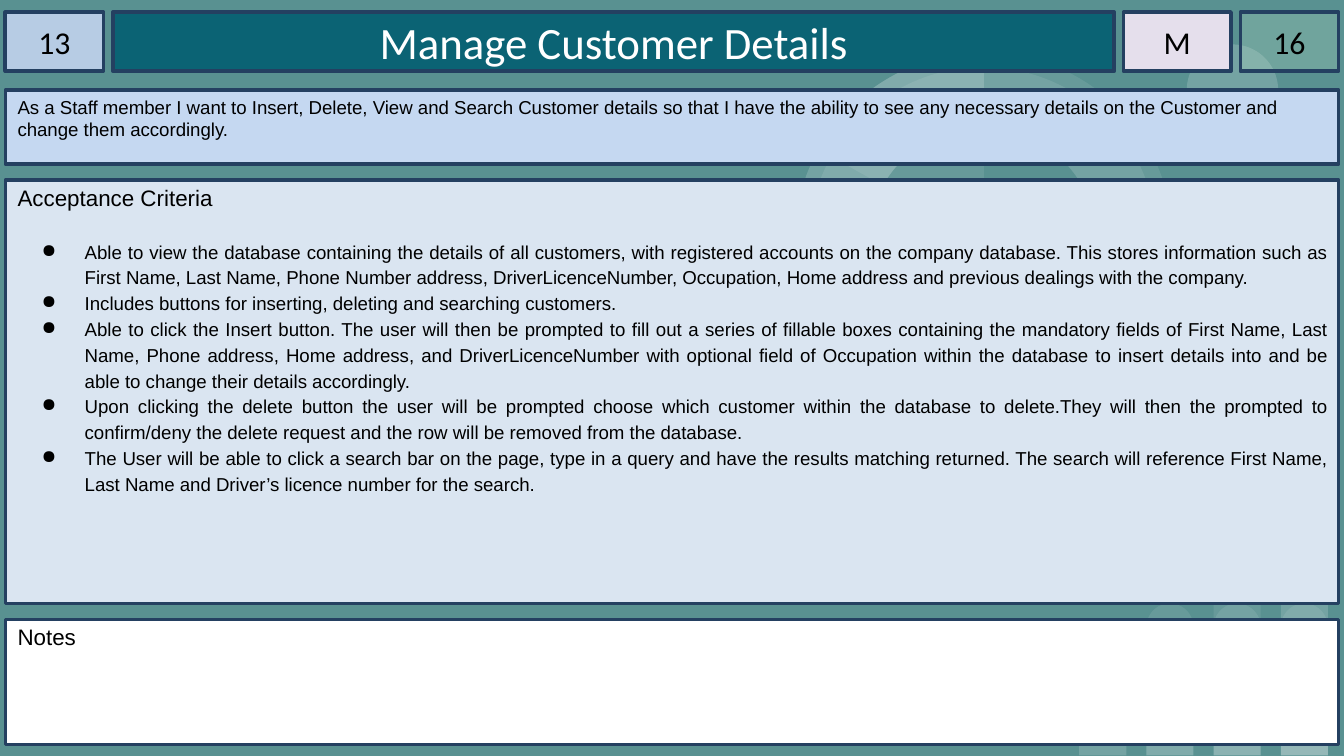
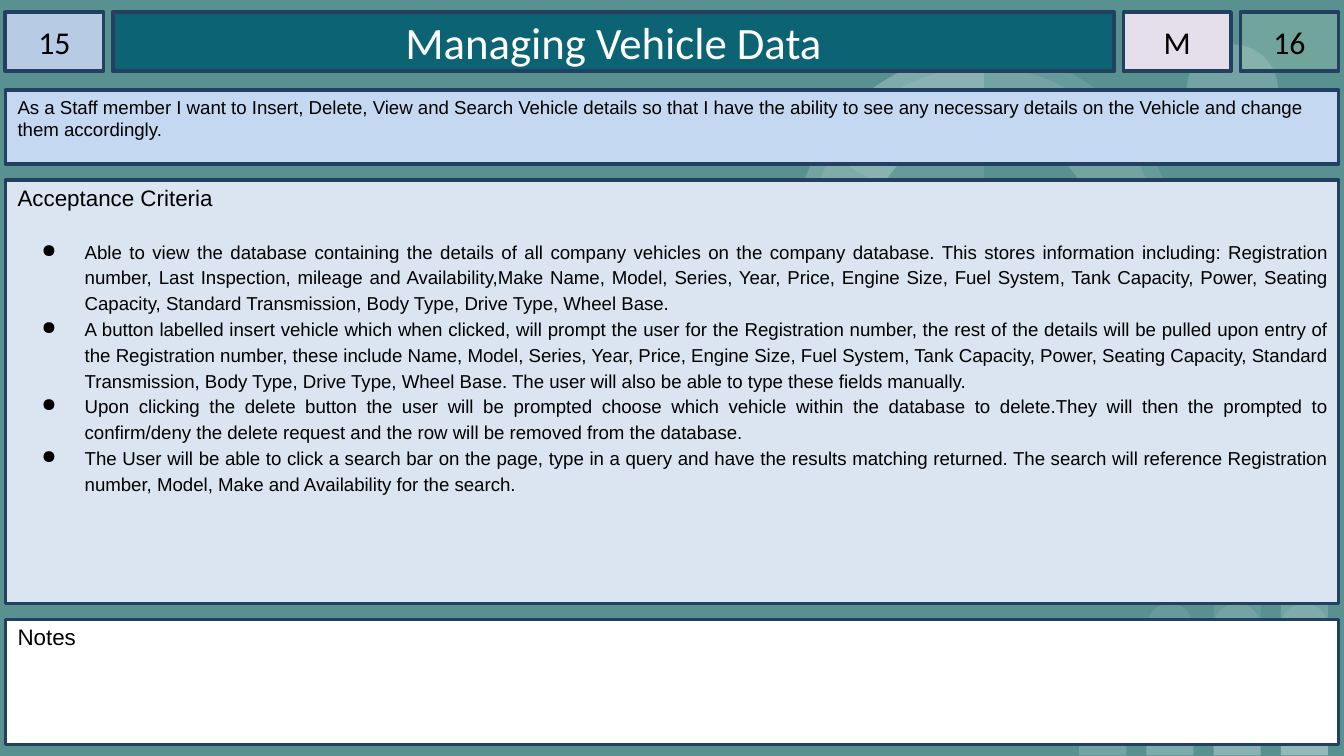
import lxml.etree
import pptx
import pptx.util
import pptx.oxml.ns
import pptx.dml.color
import pptx.enum.shapes
import pptx.enum.text

Inches = pptx.util.Inches
Pt = pptx.util.Pt
RGBColor = pptx.dml.color.RGBColor
MSO_SHAPE = pptx.enum.shapes.MSO_SHAPE
PP_ALIGN = pptx.enum.text.PP_ALIGN
MSO_ANCHOR = pptx.enum.text.MSO_ANCHOR
qn = pptx.oxml.ns.qn

TEAL = RGBColor(0x59, 0x91, 0x91)
DARK_TEAL = RGBColor(0x0B, 0x63, 0x74)
NAVY = RGBColor(0x24, 0x40, 0x61)
BLUE = RGBColor(0xB7, 0xCC, 0xE4)
STORY_BLUE = RGBColor(0xC5, 0xD8, 0xF1)
PALE_BLUE = RGBColor(0xDA, 0xE5, 0xF1)
MINT = RGBColor(0xCC, 0xF0, 0xCD)
LILAC = RGBColor(0xE5, 0xDF, 0xEC)
WHITE = RGBColor(0xFF, 0xFF, 0xFF)
BLACK = RGBColor(0, 0, 0)

STORIES = [
    ("13", "Manage Customer Details",
     "As a Staff member I want to Insert, Delete, View and Search Customer details so that I have the ability to see any necessary details on the Customer and change them accordingly.",
     ["Able to view the database containing the details of all customers, with registered accounts on the company database. This stores information such as First Name, Last Name, Phone Number address, DriverLicenceNumber, Occupation, Home address and previous dealings with the company.",
      "Includes buttons for inserting, deleting and searching customers.",
      "Able to click the Insert button. The user will then be prompted to fill out a series of fillable boxes containing the mandatory fields of First Name, Last Name, Phone address, Home address, and DriverLicenceNumber with optional field of Occupation within the database to insert details into and be able to change their details accordingly.",
      "Upon clicking the delete button the user will be prompted choose which customer within the database to delete.They will then the prompted to confirm/deny the delete request and the row will be removed from the database.",
      "The User will be able to click a search bar on the page, type in a query and have the results matching returned. The search will reference First Name, Last Name and Driver’s licence number for the search."]),
    ("15", "Managing Vehicle Data",
     "As a Staff member I want to Insert, Delete, View and Search Vehicle details so that I have the ability to see any necessary details on the Vehicle and change them accordingly.",
     ["Able to view the database containing the details of all company vehicles on the company database. This stores information including: Registration number, Last Inspection, mileage and Availability,Make Name, Model, Series, Year, Price, Engine Size, Fuel System, Tank Capacity, Power, Seating Capacity, Standard Transmission, Body Type, Drive Type, Wheel Base.",
      "A button labelled insert vehicle which when clicked, will prompt the user for the Registration number, the rest of the details will be pulled upon entry of the Registration number, these include Name, Model, Series, Year, Price, Engine Size, Fuel System, Tank Capacity, Power, Seating Capacity, Standard Transmission, Body Type, Drive Type, Wheel Base. The user will also be able to type these fields manually.",
      "Upon clicking the delete button the user will be prompted choose which vehicle within the database to delete.They will then the prompted to confirm/deny the delete request and the row will be removed from the database.",
      "The User will be able to click a search bar on the page, type in a query and have the results matching returned. The search will reference Registration number, Model, Make and Availability for the search."]),
]


def add_filled(s, kind, x, y, w, h, color, alpha=100):
    sp = s.shapes.add_shape(kind, Inches(x), Inches(y), Inches(w), Inches(h))
    sp.shadow.inherit = False
    sp.fill.solid()
    sp.fill.fore_color.rgb = color
    sp.line.fill.background()
    if alpha < 100:
        clr = sp._element.spPr.find(qn("a:solidFill")).find(qn("a:srgbClr"))
        lxml.etree.SubElement(clr, qn("a:alpha")).set("val", str(alpha * 1000))
    return sp


def add_card(s, x, y, w, h, color, text, size, font="Arial", ink=BLACK, centred=False,
             side=0.09, top=0.04, alpha=100):
    sp = add_filled(s, MSO_SHAPE.RECTANGLE, x, y, w, h, color, alpha)
    sp.line.color.rgb = NAVY
    sp.line.width = Pt(2)
    tf = sp.text_frame
    tf.word_wrap = True
    tf.margin_left = tf.margin_right = Inches(side)
    tf.margin_top, tf.margin_bottom = Inches(top), Inches(0.04)
    tf.vertical_anchor = MSO_ANCHOR.MIDDLE if centred else MSO_ANCHOR.TOP
    p = tf.paragraphs[0]
    p.alignment = PP_ALIGN.CENTER if centred else PP_ALIGN.LEFT
    r = p.add_run()
    r.text = text
    r.font.size, r.font.name, r.font.color.rgb = Pt(size), font, ink
    return tf


prs = pptx.Presentation()
prs.slide_width = Inches(10)
prs.slide_height = Inches(10 * 9 / 16)
master = prs.slide_master
master.background.fill.solid()
master.background.fill.fore_color.rgb = TEAL
slides = [prs.slides.add_slide(prs.slide_layouts[6]) for story in STORIES]

s = slides[0]
decor = []
for col in range(4):
    for step in range(col + 2):
        h = 0.37 + 0.38 * step
        sp = add_filled(s, MSO_SHAPE.ROUND_2_SAME_RECTANGLE, 8.03 + 0.5 * col, 5.62 - h, 0.35, h, WHITE, 9)
        sp.adjustments[0], sp.adjustments[1] = 0.5, 0
        decor.append(sp)

for x, y, d, rot, angles, color, alpha in [
    (8.83, 0.33, 0.68, 215.9, None, WHITE, 9),
    (8.83, 0.33, 0.68, 215.9, (193.77, 123.14), WHITE, 9),
    (5.91, 0.39, 2.82, 0, None, WHITE, 9),
    (6.02, 0.5, 2.59, 34.1, None, WHITE, 9),
    (5.91, 0.39, 2.82, 0, (88.01, 162), WHITE, 9),
    (6.46, 0.95, 1.7, 34.1, None, TEAL, 100),
    (5.91, 0.39, 2.82, 0, (125.54, 162), WHITE, 9),
]:
    sp = add_filled(s, MSO_SHAPE.PIE if angles else MSO_SHAPE.OVAL, x, y, d, d, color, alpha)
    sp.rotation = rot
    if angles:
        sp.adjustments[0], sp.adjustments[1] = angles
    decor.append(sp)

for i, sp in enumerate(decor):
    sp._element.nvSpPr.cNvPr.set("id", str(100 + i))
    master.shapes._spTree.append(sp._element)

for s, (number, title, story, criteria) in zip(slides, STORIES):
    add_card(s, 0.84, 0.09, 7.45, 0.44, DARK_TEAL, title, 24, "Calibri", WHITE, True)
    for x, w, color, alpha, text in [(0.04, 0.73, BLUE, 100, number), (9.23, 0.73, MINT, 20, "16"),
                                     (8.36, 0.8, LILAC, 100, "M")]:
        add_card(s, x, 0.09, w, 0.44, color, text, 17, "Calibri", centred=True, side=0, alpha=alpha)
    add_card(s, 0.04, 0.67, 9.92, 0.55, STORY_BLUE, story, 10)
    tf = add_card(s, 0.04, 1.34, 9.92, 3.15, PALE_BLUE, "Acceptance Criteria", 12, top=0.03)
    tf.paragraphs[0].space_after = Pt(14)
    for text in criteria:
        p = tf.add_paragraph()
        p.alignment = PP_ALIGN.JUSTIFY
        p.line_spacing = 1.15
        pPr = p._p.get_or_add_pPr()
        pPr.set("marL", str(Inches(0.5)))
        pPr.set("indent", str(Inches(-0.32)))
        lxml.etree.SubElement(pPr, qn("a:buChar")).set("char", "●")
        r = p.add_run()
        r.text = text
        r.font.size, r.font.name, r.font.color.rgb = Pt(10), "Arial", BLACK
    add_card(s, 0.04, 4.61, 9.92, 0.93, WHITE, "Notes", 12, top=0.03)

prs.save("out.pptx")
